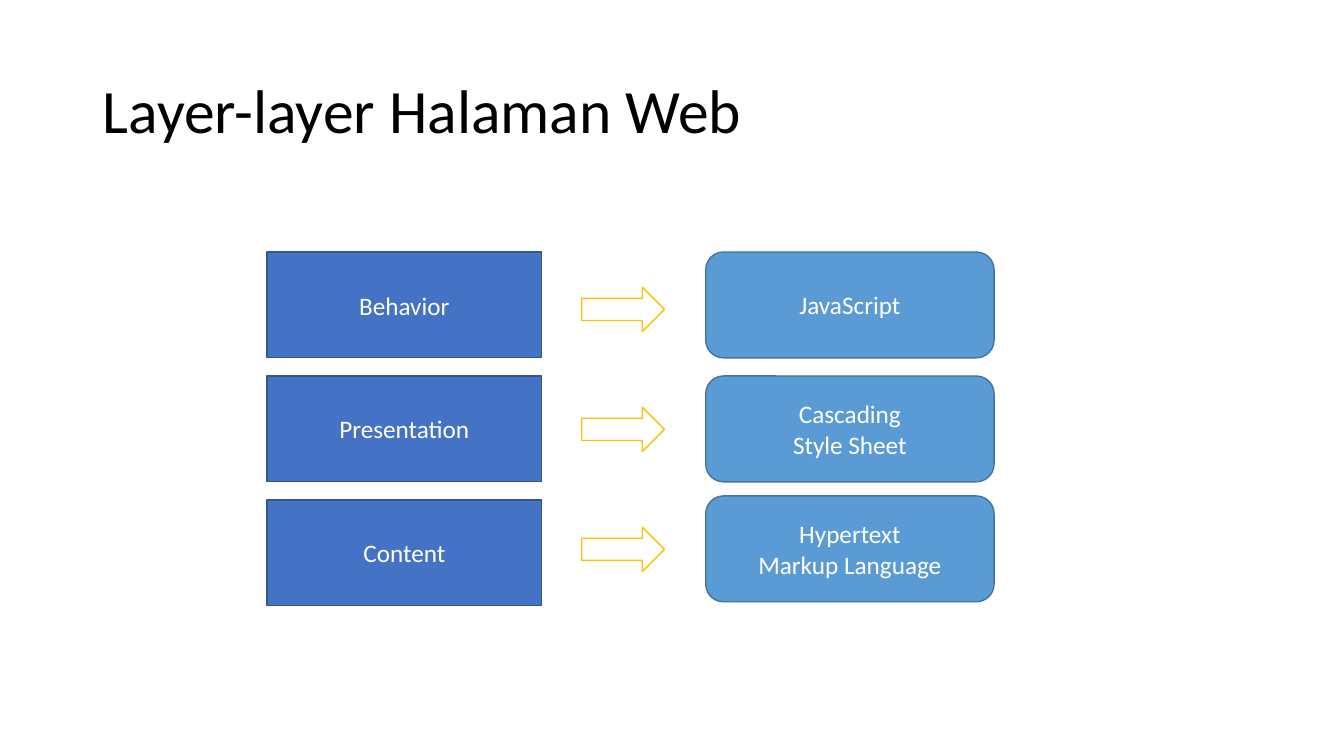
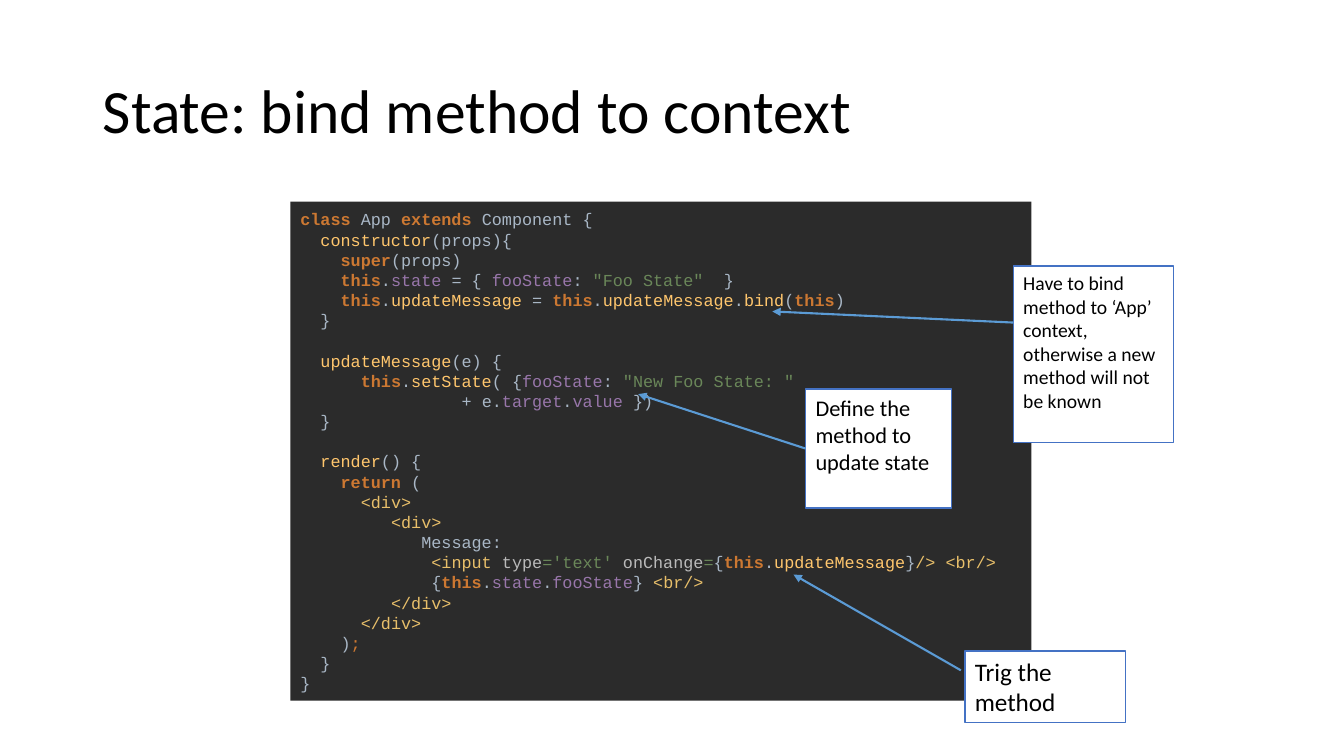
import pptx
import pptx.dml.color
import pptx.enum.shapes
import pptx.enum.text
import pptx.oxml
import pptx.oxml.ns
import pptx.util

Inches = pptx.util.Inches
Pt = pptx.util.Pt
RGBColor = pptx.dml.color.RGBColor
Kind = pptx.enum.shapes.MSO_SHAPE
Align = pptx.enum.text.PP_ALIGN
Anchor = pptx.enum.text.MSO_ANCHOR

BLACK = RGBColor(0x00, 0x00, 0x00)
WHITE = RGBColor(0xFF, 0xFF, 0xFF)
BLUE = RGBColor(0x44, 0x72, 0xC4)
NAVY = RGBColor(0x32, 0x54, 0x91)
SKY = RGBColor(0x5B, 0x9B, 0xD5)
STEEL = RGBColor(0x43, 0x73, 0x9E)
GOLD = RGBColor(0xFF, 0xC0, 0x00)
DARK = RGBColor(0x2B, 0x2B, 0x2B)
ORANGE = RGBColor(0xCC, 0x78, 0x32)

# Token styles of the code panel
KEY = dict(color=ORANGE, bold=True)
END = dict(color=ORANGE)
TEXT = dict(color=RGBColor(0xA9, 0xB7, 0xC6))
NAME = dict(color=RGBColor(0xFF, 0xC6, 0x6D))
PROP = dict(color=RGBColor(0x98, 0x76, 0xAA))
QUOTE = dict(color=RGBColor(0x6A, 0x87, 0x59))
TAG = dict(color=RGBColor(0xE8, 0xBF, 0x6A))
ATTR = dict(color=RGBColor(0xBA, 0xBA, 0xBA))

THIS = [(KEY, "this"), (TEXT, ".")]
UPDATE = (NAME, "updateMessage")

# Each block is a list of (indent in characters, tokens)
BLOCKS = [
    [
        (0, [(KEY, "class "), (TEXT, "App "), (KEY, "extends "),
             (TEXT, "Component {")]),
        (2, [(NAME, "constructor"), (TEXT, "(props){")]),
        (4, [(KEY, "super"), (TEXT, "(props)")]),
        (4, [*THIS, (PROP, "state "), (TEXT, "= { "), (PROP, "fooState"),
             (TEXT, ": "), (QUOTE, '"Foo State"  '), (TEXT, "}")]),
        (4, [*THIS, (NAME, "updateMessage "), (TEXT, "= "), *THIS, UPDATE,
             (TEXT, "."), (NAME, "bind"), (TEXT, "("), (KEY, "this"),
             (TEXT, ")")]),
        (2, [(TEXT, "}")]),
    ],
    [
        (2, [UPDATE, (TEXT, "(e) {")]),
        (6, [*THIS, (NAME, "setState"), (TEXT, "( {"), (PROP, "fooState"),
             (TEXT, ": "), (QUOTE, '"New Foo State: "')]),
        (16, [(TEXT, "+ e."), (PROP, "target"), (TEXT, "."),
              (PROP, "value "), (TEXT, "})")]),
        (2, [(TEXT, "}")]),
    ],
    [
        (2, [(NAME, "render"), (TEXT, "() {")]),
        (4, [(KEY, "return "), (TEXT, "(")]),
        (6, [(TAG, "<div>")]),
        (9, [(TAG, "<div>")]),
        (12, [(TEXT, "Message:")]),
        (13, [(TAG, "<input "), (ATTR, "type"), (QUOTE, "='text' "),
              (ATTR, "onChange"), (QUOTE, "="), (TEXT, "{"), *THIS, UPDATE,
              (TEXT, "}"), (TAG, "/> <br/>")]),
        (13, [(TEXT, "{"), *THIS, (PROP, "state"), (TEXT, "."),
              (PROP, "fooState"), (TEXT, "} "), (TAG, "<br/>")]),
        (9, [(TAG, "</div>")]),
        (6, [(TAG, "</div>")]),
        (4, [(TEXT, ")"), (END, ";")]),
        (2, [(TEXT, "}")]),
        (0, [(TEXT, "}")]),
    ],
]


def write(para, text, size=18, color=BLACK, bold=False, font="Calibri"):
    run = para.add_run()
    run.text = text
    run.font.size = Pt(size)
    run.font.color.rgb = color
    run.font.bold = bold
    run.font.name = font


class Deck:
    """Holds the shared style and the slide being built."""

    def __init__(self):
        self.prs = pptx.Presentation()
        self.prs.slide_width = Inches(13.33)
        self.prs.slide_height = Inches(7.5)

    def start(self, title):
        """Add a slide with its title and make it current."""
        self.slide = self.prs.slides.add_slide(self.prs.slide_layouts[5])
        head = self.slide.shapes.title
        head.left, head.top = Inches(0.92), Inches(0.4)
        head.width, head.height = Inches(11.5), Inches(1.45)
        head.text_frame.vertical_anchor = Anchor.MIDDLE
        para = head.text_frame.paragraphs[0]
        para.alignment = Align.LEFT
        para.line_spacing = 0.9
        write(para, title, size=44)

    def shape(self, kind, left, top, width, height, fill, line=None):
        shape = self.slide.shapes.add_shape(
            kind, Inches(left), Inches(top), Inches(width), Inches(height))
        shape.shadow.inherit = False
        shape.fill.solid()
        shape.fill.fore_color.rgb = fill
        if line is None:
            shape.line.fill.background()
        else:
            shape.line.color.rgb = line
            shape.line.width = Pt(1)
        shape.text_frame.word_wrap = True
        return shape

    def label(self, kind, left, top, width, text, fill, line):
        """Draw a filled box with centred white text."""
        frame = self.shape(kind, left, top, width, 1.05, fill, line).text_frame
        frame.vertical_anchor = Anchor.MIDDLE
        for i, part in enumerate(text.split("\n")):
            para = frame.add_paragraph() if i else frame.paragraphs[0]
            para.alignment = Align.CENTER
            write(para, part, color=WHITE)

    def note(self, left, top, width, height, text, size):
        frame = self.shape(Kind.RECTANGLE, left, top, width, height,
                           WHITE, BLUE).text_frame
        frame.vertical_anchor = Anchor.TOP
        para = frame.paragraphs[0]
        para.alignment = Align.LEFT
        write(para, text, size=size)

    def code(self, left, top, width, height, blocks):
        """Draw a dark panel of code, with a one-line gap between blocks."""
        frame = self.shape(Kind.RECTANGLE, left, top, width, height,
                           DARK).text_frame
        frame.vertical_anchor = Anchor.MIDDLE
        pitch = Pt(14.4)
        para = None
        for block in blocks:
            for i, (indent, tokens) in enumerate(block):
                gap = para is not None and i == 0
                para = frame.add_paragraph() if para else frame.paragraphs[0]
                para.alignment = Align.LEFT
                para.line_spacing = pitch
                para.space_before = pitch if gap else Pt(0)
                props = para._p.get_or_add_pPr()
                props.set("marL", str(Inches(0.1 * indent)))
                props.set("indent", "0")
                for style, text in tokens:
                    write(para, text, size=12, font="Courier New", **style)

    def arrow(self, start, end):
        link = self.slide.shapes.add_connector(
            pptx.enum.shapes.MSO_CONNECTOR.STRAIGHT,
            *map(Inches, start + end))
        link.line.color.rgb = SKY
        link.line.width = Pt(1.5)
        space = pptx.oxml.ns.nsdecls("a")
        link.line._get_or_add_ln().append(
            pptx.oxml.parse_xml(f'<a:tailEnd {space} type="triangle"/>'))
        link._element.spPr.append(
            pptx.oxml.parse_xml(f"<a:effectLst {space}/>"))


def layers(deck):
    deck.start("Layer-layer Halaman Web")
    rows = [
        ("Behavior", "JavaScript", 2.5),
        ("Presentation", "Cascading\nStyle Sheet", 3.73),
        ("Content", "Hypertext\nMarkup Language", 4.92),
    ]
    for i, (layer, tech, top) in enumerate(rows):
        deck.label(Kind.RECTANGLE, 2.65, 2.5 + 1.23 * i, 2.72, layer,
                   BLUE, NAVY)
        deck.shape(Kind.RIGHT_ARROW, 5.77, 2.85 + 1.19 * i, 0.82, 0.44,
                   WHITE, GOLD)
        deck.label(Kind.ROUNDED_RECTANGLE, 7, top, 2.86, tech, SKY, STEEL)


def state(deck):
    deck.start("State: bind method to context")
    deck.code(2.88, 2, 7.35, 4.95, BLOCKS)
    deck.note(10.05, 2.64, 1.59, 1.75,
              "Have to bind method to ‘App’ context, otherwise a new method "
              "will not be known", 14)
    deck.note(9.57, 6.46, 1.59, 0.71, "Trig the method", 18)
    deck.note(7.99, 3.86, 1.45, 1.18, "Define the method to update state", 16)
    deck.arrow((10.05, 3.2), (7.66, 3.09))
    deck.arrow((9.53, 6.65), (7.87, 5.7))
    deck.arrow((7.99, 4.45), (6.33, 3.91))


def main():
    deck = Deck()
    layers(deck)
    state(deck)
    deck.prs.save("out.pptx")


if __name__ == "__main__":
    main()
